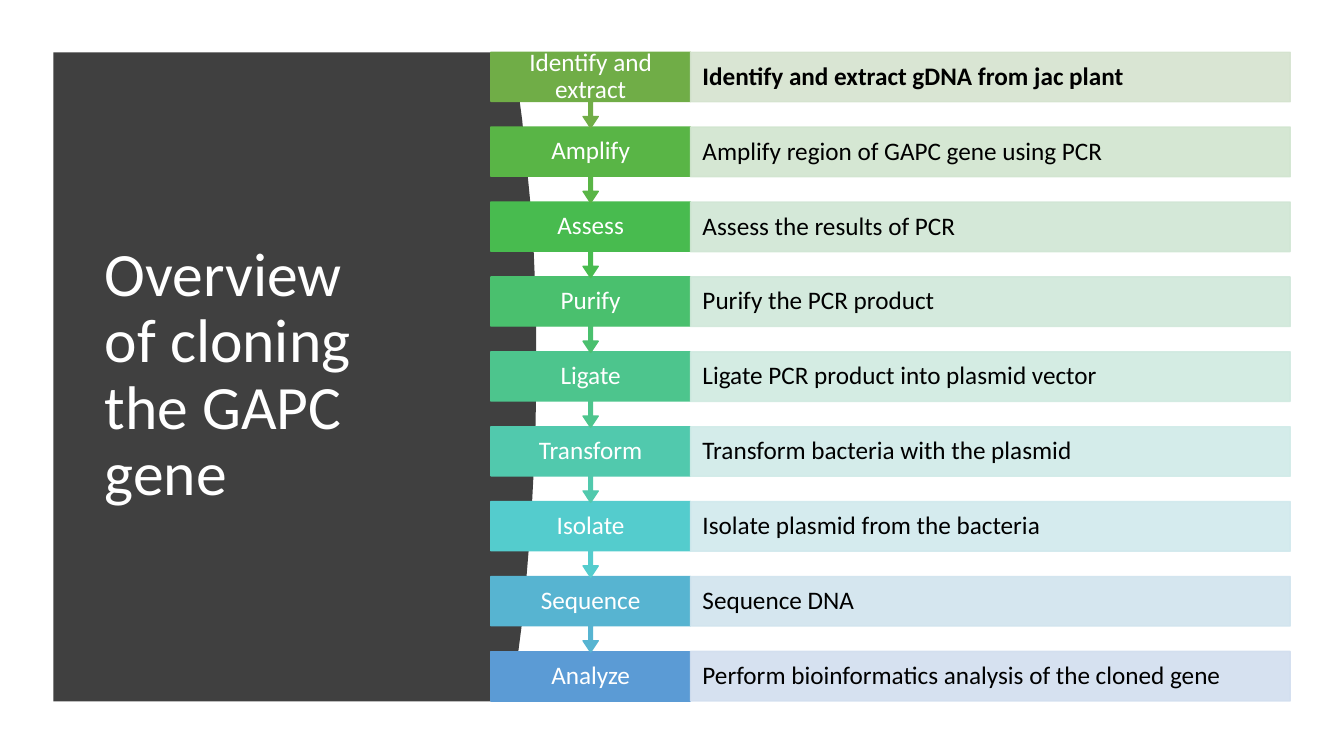
from dataclasses import dataclass

from lxml import etree
from pptx import Presentation
from pptx.dml.color import RGBColor
from pptx.enum.shapes import MSO_SHAPE
from pptx.enum.text import MSO_ANCHOR, MSO_AUTO_SIZE, PP_ALIGN
from pptx.oxml.ns import qn
from pptx.shapes.autoshape import Shape
from pptx.slide import Slide
from pptx.text.text import TextFrame
from pptx.util import Pt

RECTANGLE = MSO_SHAPE.RECTANGLE
ARROW_BOX = MSO_SHAPE.DOWN_ARROW_CALLOUT
LEFT, CENTER = PP_ALIGN.LEFT, PP_ALIGN.CENTER
MIDDLE = MSO_ANCHOR.MIDDLE
NO_AUTOFIT = MSO_AUTO_SIZE.NONE


@dataclass(frozen=True)
class Theme:
    font: str = "Calibri"
    panel: str = "404040"
    light: str = "FFFFFF"
    dark: str = "000000"
    title_size: float = 44
    step_size: float = 18


@dataclass(frozen=True)
class Step:
    action: str
    detail: str
    color: str
    tint: str
    bold: bool = False


THEME = Theme()
STEPS = [
    Step("Identify and extract", "Identify and extract gDNA from jac plant",
         "70AD47", "D5E3CF", bold=True),
    Step("Amplify", "Amplify region of GAPC gene using PCR", "59B546", "D1E5CF"),
    Step("Assess", "Assess the results of PCR", "48BB4F", "D0E6D4"),
    Step("Purify", "Purify the PCR product", "4AC06E", "D0E8DA"),
    Step("Ligate", "Ligate PCR product into plasmid vector", "4DC58D", "D0EAE1"),
    Step("Transform", "Transform bacteria with the plasmid", "51C9AD", "D0EBE8"),
    Step("Isolate", "Isolate plasmid from the bacteria", "54CCCD", "D1E9ED"),
    Step("Sequence", "Sequence DNA", "57B4D1", "D1E4EE"),
    Step("Analyze", "Perform bioinformatics analysis of the cloned gene",
         "5B9BD5", "D2DEEF"),
]

# Step rows, in points
TOP, PITCH = 37.3, 53.5
ROW_HEIGHT, ARROW_BOX_HEIGHT = 35.4, 54
ACTION_LEFT, ACTION_WIDTH = 350.6, 142.6
DETAIL_LEFT, DETAIL_WIDTH = 493.2, 428.4
ARROW_PROPORTIONS = (0.05, 0.1, 0.15, 0.65)

# Dark panel: straight left side, bulging right edge from top to bottom
PANEL_LEFT = 38.2
PANEL_EDGE = [
    (365.8, 37.4), (370.1, 64.1), (373, 85.7), (375.1, 107.3), (377.3, 128.9),
    (379.4, 150.5), (380.9, 171.4), (381.8, 193), (382.5, 213.8), (383, 234),
    (383, 273.6), (382.6, 302.4), (381.6, 329.8), (380.2, 356.4), (378, 388.8),
    (375.6, 418.3), (373, 444.2), (370.1, 466.6), (367.9, 483.8), (365.8, 501.1),
]


def write_text(frame: TextFrame, text: str, *, size: float, color: str,
               align: PP_ALIGN = LEFT, bold: bool = False) -> None:
    frame.word_wrap = True
    frame.auto_size = NO_AUTOFIT
    frame.vertical_anchor = MIDDLE
    paragraph = frame.paragraphs[0]
    paragraph.alignment = align
    paragraph.line_spacing = 0.9
    run = paragraph.add_run()
    run.text = text
    run.font.name = THEME.font
    run.font.size = Pt(size)
    run.font.bold = bold
    run.font.color.rgb = RGBColor.from_string(color)


def paint(shape: Shape, color: str, *, outlined: bool = True,
          opacity: int = 100) -> None:
    shape.shadow.inherit = False
    shape.fill.solid()
    shape.fill.fore_color.rgb = RGBColor.from_string(color)
    if outlined:
        shape.line.color.rgb = RGBColor.from_string(color)
        shape.line.width = Pt(1)
    else:
        shape.line.fill.background()
    if opacity < 100:
        for rgb in shape._element.spPr.iter(qn("a:srgbClr")):
            etree.SubElement(rgb, qn("a:alpha")).set("val", str(opacity * 1000))


def add_box(slide: Slide, kind: MSO_SHAPE, left: float, top: float, width: float,
            height: float, *, inset: float) -> Shape:
    box = slide.shapes.add_shape(kind, Pt(left), Pt(top), Pt(width), Pt(height))
    frame = box.text_frame
    frame.margin_left = frame.margin_right = Pt(inset)
    frame.margin_top = frame.margin_bottom = 0
    return box


def add_panel(slide: Slide) -> Shape:
    top, bottom = PANEL_EDGE[0][1], PANEL_EDGE[-1][1]
    outline = slide.shapes.build_freeform(Pt(PANEL_LEFT), Pt(top))
    corners = PANEL_EDGE + [(PANEL_LEFT, bottom)]
    outline.add_line_segments([(Pt(x), Pt(y)) for x, y in corners], close=True)
    panel = outline.convert_to_shape()
    paint(panel, THEME.panel, outlined=False)
    return panel


def add_title(slide: Slide, text: str) -> None:
    title = slide.shapes.title
    title.left, title.top = Pt(67.7), Pt(79.9)
    title.width, title.height = Pt(218.9), Pt(377.3)
    write_text(title.text_frame, text, size=THEME.title_size, color=THEME.light)


def add_step(slide: Slide, step: Step, top: float, *, is_last: bool) -> None:
    kind = RECTANGLE if is_last else ARROW_BOX
    height = ROW_HEIGHT if is_last else ARROW_BOX_HEIGHT
    action = add_box(slide, kind, ACTION_LEFT, top, ACTION_WIDTH, height, inset=10.1)
    if not is_last:
        for index, proportion in enumerate(ARROW_PROPORTIONS):
            action.adjustments[index] = proportion
    paint(action, step.color)
    write_text(action.text_frame, step.action, size=THEME.step_size,
               color=THEME.light, align=CENTER)

    detail = add_box(slide, RECTANGLE, DETAIL_LEFT, top, DETAIL_WIDTH, ROW_HEIGHT,
                     inset=8.6)
    paint(detail, step.tint, opacity=90)
    write_text(detail.text_frame, step.detail, size=THEME.step_size,
               color=THEME.dark, bold=step.bold)


def main() -> None:
    deck = Presentation()
    deck.slide_width, deck.slide_height = Pt(960), Pt(540)
    slide = deck.slides.add_slide(deck.slide_layouts[5])

    # Title in front of the dark panel
    panel = add_panel(slide)
    slide.shapes.title._element.addprevious(panel._element)
    add_title(slide, "Overview of cloning the GAPC gene")

    # Steps from last to first, so each arrow tip lies over the next box
    last = len(STEPS) - 1
    for index, step in reversed(list(enumerate(STEPS))):
        add_step(slide, step, TOP + index * PITCH, is_last=index == last)

    deck.save("out.pptx")


if __name__ == "__main__":
    main()
